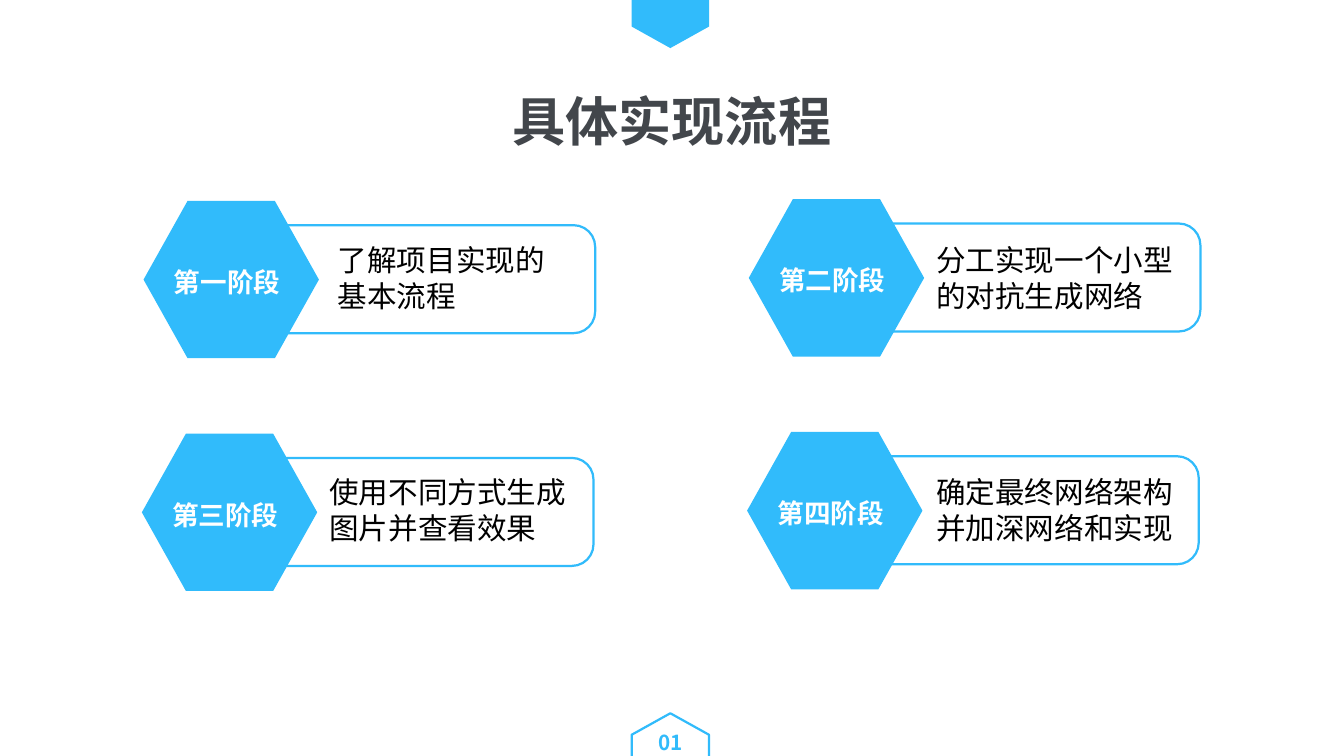
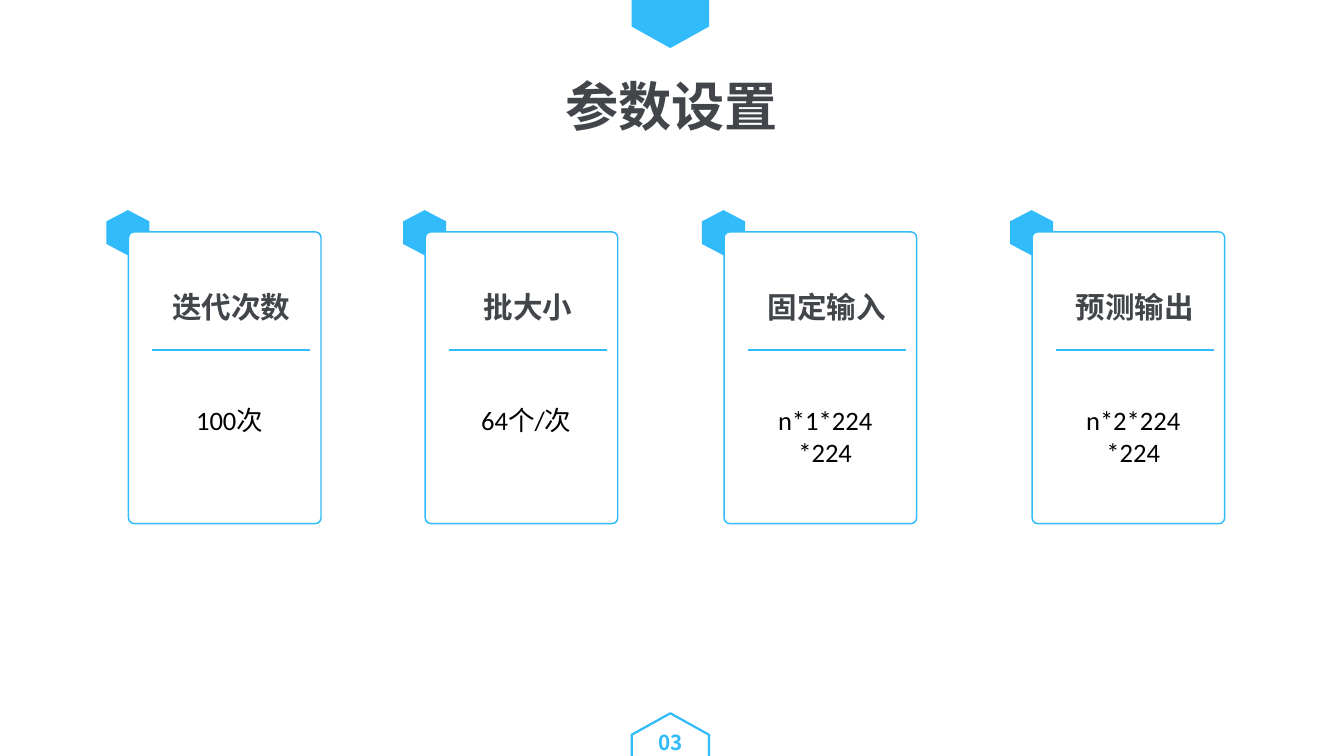
from lxml import etree
from pptx import Presentation
from pptx.dml.color import RGBColor
from pptx.enum.shapes import MSO_CONNECTOR, MSO_SHAPE
from pptx.enum.text import MSO_ANCHOR, MSO_AUTO_SIZE, PP_ALIGN
from pptx.oxml.ns import qn
from pptx.util import Cm, Pt

HEXAGON = MSO_SHAPE.HEXAGON
ROUNDED = MSO_SHAPE.ROUNDED_RECTANGLE
STRAIGHT = MSO_CONNECTOR.STRAIGHT
TOP = MSO_ANCHOR.TOP
FIXED = MSO_AUTO_SIZE.NONE
LEFT, CENTER = PP_ALIGN.LEFT, PP_ALIGN.CENTER

BLUE, DARK, WHITE, BLACK = "31BBFB", "42464B", "FFFFFF", "000000"
CJK, LATIN = "Noto Sans CJK SC", "Calibri"
WIDTH, HEIGHT = 32.11, 18.06
TITLE_ONLY = 5

STAGES = [
    ("第一阶段", "了解项目实现的基本流程", 7.82, 5.72),
    ("第二阶段", "分工实现一个小型的对抗生成网络", 22.12, 6.55),
    ("第三阶段", "使用不同方式生成图片并查看效果", 7.62, 6.78),
    ("第四阶段", "确定最终网络架构并加深网络和实现", 22.12, 6.43),
]
SETTINGS = [
    ("迭代次数", "100次", 3.07),
    ("批大小", "64个/次", 10.16),
    ("固定输入", "n*1*224*224", 17.3),
    ("预测输出", "n*2*224*224", 24.66),
]


def color(value):
    return RGBColor.from_string(value)


def write(box, text, size, ink, bold=False, font=CJK, align=CENTER, tight=True):
    frame = box.text_frame
    frame.word_wrap = True
    frame.auto_size = FIXED
    frame.vertical_anchor = TOP
    para = frame.paragraphs[0]
    para.alignment = align
    if tight:
        frame.margin_left = frame.margin_right = Cm(0.08)
        frame.margin_top = frame.margin_bottom = Cm(0.03)
        para.line_spacing = 1.16
    span = para.add_run()
    span.text = text
    span.font.size = Pt(size)
    span.font.bold = bold
    span.font.color.rgb = color(ink)
    span.font.name = font
    east = etree.SubElement(span.font._element, qn("a:ea"))
    east.set("typeface", CJK)


def add_text(page, x, y, w, h, text, size, ink, **style):
    box = page.shapes.add_textbox(Cm(x), Cm(y), Cm(w), Cm(h))
    write(box, text, size, ink, **style)


def add_outline(page, kind, x, y, w, h, adjust, fill=None, line=None):
    shape = page.shapes.add_shape(kind, Cm(x), Cm(y), Cm(w), Cm(h))
    shape.shadow.inherit = False
    shape.adjustments[0] = adjust
    if fill:
        shape.fill.solid()
        shape.fill.fore_color.rgb = color(fill)
    else:
        shape.fill.background()
    if line:
        shape.line.color.rgb = color(BLUE)
        shape.line.width = Pt(line)
    else:
        shape.line.fill.background()
    return shape


def add_upright_hexagon(page, x, y, w, h, **style):
    shift = (h - w) / 2
    shape = add_outline(page, HEXAGON, x - shift, y + shift, h, w, h / 4 / w, **style)
    shape.rotation = 90


def add_rule(page, x, y, w):
    rule = page.shapes.add_connector(STRAIGHT, Cm(x), Cm(y), Cm(x + w), Cm(y))
    rule.line.color.rgb = color(BLUE)
    rule.line.width = Pt(1.5)
    etree.SubElement(rule._element.spPr, qn("a:effectLst"))


def add_page(deck, title, title_top, number):
    page = deck.slides.add_slide(deck.slide_layouts[TITLE_ONLY])
    heading = page.shapes.title
    heading.left, heading.top = Cm(9.04), Cm(title_top)
    heading.width, heading.height = Cm(14.02), Cm(1.85)
    write(heading, title, 36, DARK, bold=True)
    add_upright_hexagon(page, 15.09, -0.91, 1.85, 2.06, fill=BLUE)
    add_upright_hexagon(page, 15.09, 17.04, 1.85, 2.06, line=1.5)
    add_text(page, 15.24, 17.32, 1.55, 0.76, number, 14, BLUE, bold=True)
    return page


def add_stages(page):
    for index, (label, detail, detail_left, detail_width) in enumerate(STAGES):
        row, column = divmod(index, 2)
        x = 5.51 + 14.46 * column - 0.04 * row
        y = 5.38 + 5.56 * row - 0.04 * column
        add_outline(page, ROUNDED, x, y, 8.71, 2.58, 0.2, fill=WHITE, line=1.5)
        add_outline(page, HEXAGON, x - 2.08, y - 0.58, 4.19, 3.76, 0.28, fill=BLUE)
        add_text(page, x - 2.08, y + 0.82, 3.99, 0.97, label, 18, WHITE, bold=True)
        add_text(page, detail_left, 5.66 + 5.54 * row, detail_width, 1.96,
                 detail, 20, BLACK, align=LEFT, tight=False)


def add_settings(page):
    for label, value, x in SETTINGS:
        add_upright_hexagon(page, x - 0.53, 5.02, 1.03, 1.08, fill=BLUE)
        add_outline(page, ROUNDED, x, 5.54, 4.6, 6.97, 0.03, fill=WHITE, line=1)
        add_text(page, x + 0.7, 6.73, 3.51, 1.07, label, 20, DARK, bold=True)
        add_rule(page, x + 0.56, 8.37, 3.78)
        add_text(page, x + 0.89, 9.53, 3.05, 1.8, value, 18, BLACK,
                 font=LATIN, tight=False)


def main():
    deck = Presentation()
    deck.slide_width, deck.slide_height = Cm(WIDTH), Cm(HEIGHT)
    add_stages(add_page(deck, "具体实现流程", 1.83, "01"))
    add_settings(add_page(deck, "参数设置", 1.47, "03"))
    deck.save("out.pptx")


if __name__ == "__main__":
    main()
